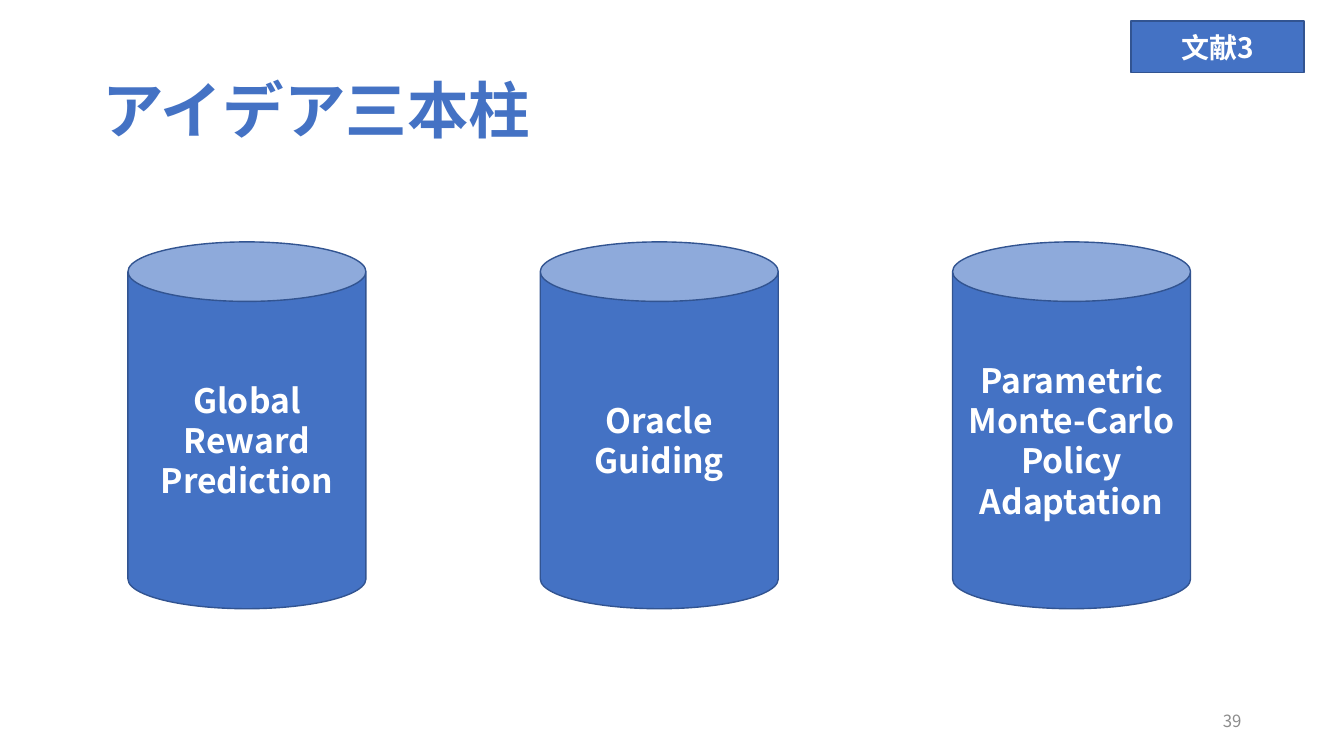
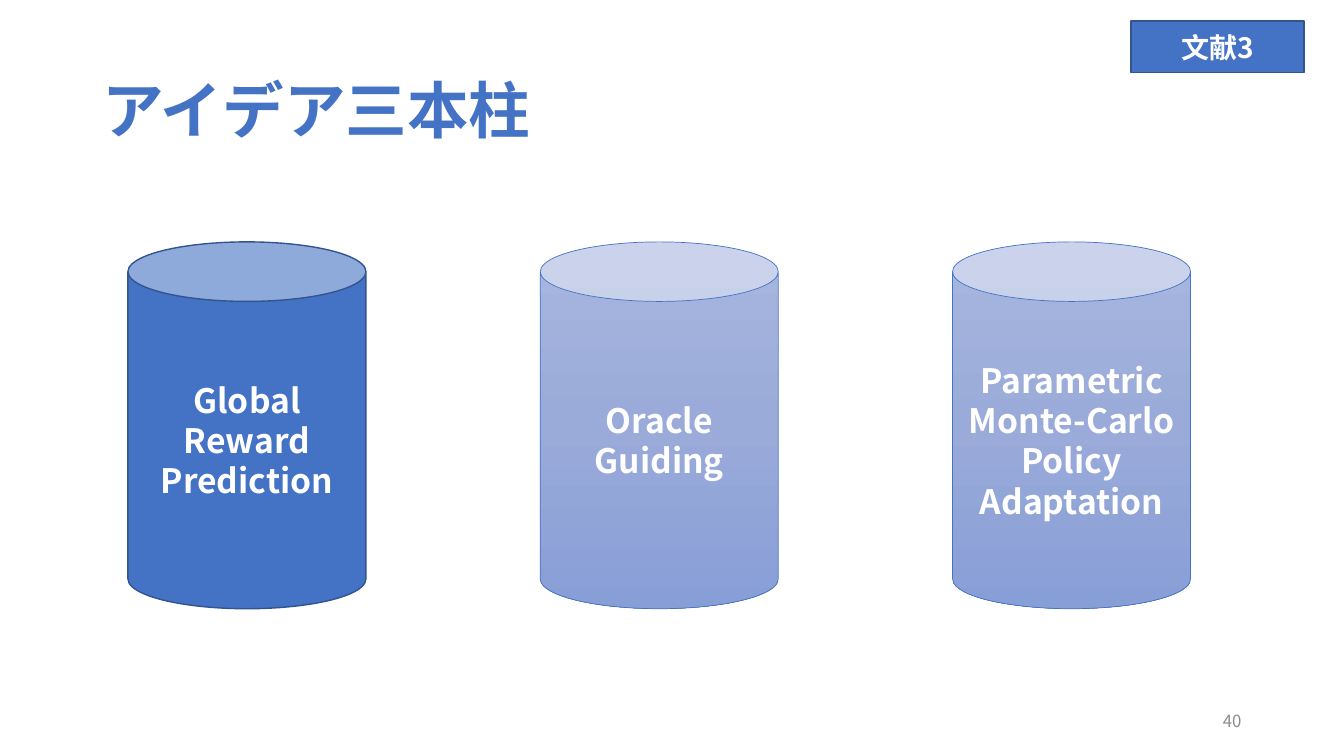
"""Build two slides that present the three pillars of an idea."""
import copy

import lxml.etree
import pptx
import pptx.dml.color
import pptx.enum.shapes
import pptx.enum.text
import pptx.oxml.ns
import pptx.util

Pt = pptx.util.Pt
ALIGN = pptx.enum.text.PP_ALIGN
SHAPES = pptx.enum.shapes.MSO_SHAPE
FONT = "Noto Sans CJK JP"
BLUE, DARK_BLUE, WHITE, GRAY = "4472C4", "325491", "FFFFFF", "8C8C8C"
FADED_STOPS = [(0, "A8B7DF"), (0.5, "9AABD9"), (1, "889ED7")]
TITLE_BOX = (66, 29, 828, 104)
TAG_BOX = (808, 15, 123.5, 37)
NUMBER_BOX = (678, 500, 216, 29)
PILLAR_LEFT, PILLAR_TOP, PILLAR_PITCH = 91.4, 172.8, 294.5
PILLAR_WIDTH, PILLAR_HEIGHT = 170, 262
TITLE = "アイデア三本柱"
TAG = "文献3"
PILLARS = [
    ["Global Reward", "Prediction"],
    ["Oracle", "Guiding"],
    ["Parametric", "Monte-Carlo", "Policy", "Adaptation"],
]


def color(value):
    """Return the colour for a hex string."""
    return pptx.dml.color.RGBColor.from_string(value)


def points(box):
    """Convert the numbers of a box to point lengths."""
    return [Pt(number) for number in box]


def write_text(shape, lines, size, text_color, alignment, bold=True):
    """Write one formatted paragraph for each line."""
    frame = shape.text_frame
    frame.word_wrap = True
    frame.auto_size = pptx.enum.text.MSO_AUTO_SIZE.NONE
    frame.vertical_anchor = pptx.enum.text.MSO_ANCHOR.MIDDLE
    frame.text = "\n".join(lines)
    formats = {"size": Pt(size), "bold": bold, "name": FONT}
    for paragraph in frame.paragraphs:
        paragraph.alignment = alignment
        for run in paragraph.runs:
            for name, value in formats.items():
                setattr(run.font, name, value)
            run.font.color.rgb = color(text_color)
            east_asian = lxml.etree.SubElement(
                run.font._element, pptx.oxml.ns.qn("a:ea"))
            east_asian.set("typeface", FONT)


def fill_gradient(shape, stops):
    """Fill a shape from top to bottom through three colour stops."""
    shape.fill.gradient()
    shape.fill.gradient_angle = 270
    first = shape._element.find(".//" + pptx.oxml.ns.qn("a:gs"))
    first.addnext(copy.deepcopy(first))
    for stop, (position, value) in zip(shape.fill.gradient_stops, stops):
        stop.position = position
        stop.color.rgb = color(value)


def add_block(slide, kind, box, lines, size, faded=False):
    """Add a blue preset shape with centred text, faded if asked."""
    shape = slide.shapes.add_shape(kind, *points(box))
    shape.shadow.inherit = False
    if faded:
        fill_gradient(shape, FADED_STOPS)
    else:
        shape.fill.solid()
        shape.fill.fore_color.rgb = color(BLUE)
    shape.line.color.rgb = color(BLUE if faded else DARK_BLUE)
    shape.line.width = Pt(0.5 if faded else 1)
    write_text(shape, lines, size, WHITE, ALIGN.CENTER)


def add_title(slide):
    """Place and format the title."""
    title = slide.shapes.title
    places = zip(("left", "top", "width", "height"), points(TITLE_BOX))
    for name, value in places:
        setattr(title, name, value)
    write_text(title, [TITLE], 44, BLUE, ALIGN.LEFT)
    title.text_frame.paragraphs[0].line_spacing = 0.9


def add_pillar_slide(presentation, number, highlighted):
    """Add a slide where only the highlighted pillars keep full colour."""
    slide = presentation.slides.add_slide(presentation.slide_layouts[5])
    add_title(slide)
    number_box = slide.shapes.add_textbox(*points(NUMBER_BOX))
    write_text(number_box, [str(number)], 12, GRAY, ALIGN.RIGHT, bold=False)
    for index, lines in enumerate(PILLARS):
        left = PILLAR_LEFT + index * PILLAR_PITCH
        box = (left, PILLAR_TOP, PILLAR_WIDTH, PILLAR_HEIGHT)
        add_block(slide, SHAPES.CAN, box, lines, 24, index not in highlighted)
    add_block(slide, SHAPES.RECTANGLE, TAG_BOX, [TAG], 20)


def main():
    """Build and save the presentation."""
    presentation = pptx.Presentation()
    presentation.slide_width = Pt(960)
    presentation.slide_height = Pt(540)
    add_pillar_slide(presentation, 39, {0, 1, 2})
    add_pillar_slide(presentation, 40, {0})
    presentation.save("out.pptx")


if __name__ == "__main__":
    main()
